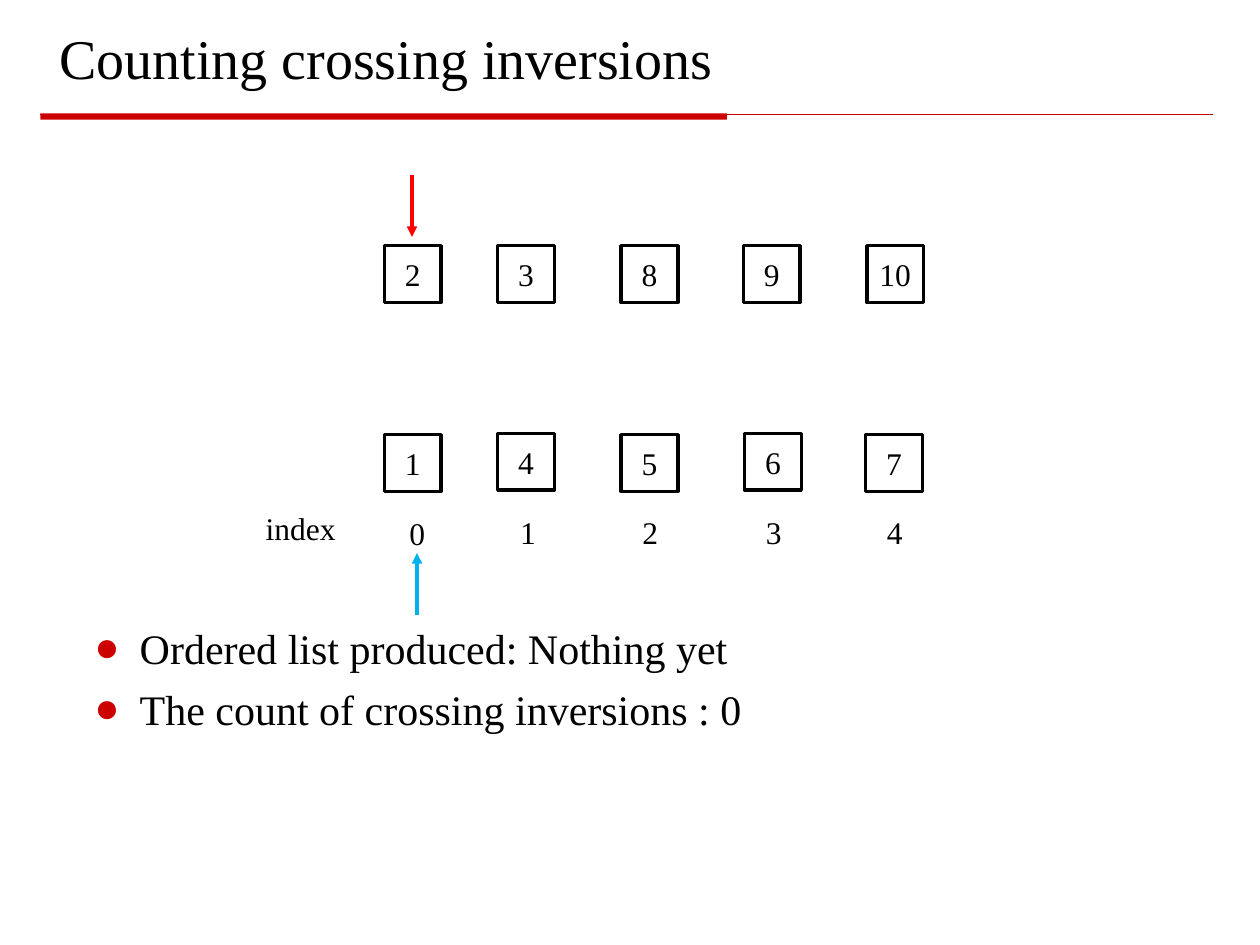
from lxml.etree import SubElement
from pptx import Presentation
from pptx.dml.color import RGBColor
from pptx.enum.shapes import MSO_CONNECTOR, MSO_SHAPE
from pptx.enum.text import MSO_ANCHOR, PP_ALIGN
from pptx.oxml.ns import qn
from pptx.util import Inches, Pt

COLORS = {"text": "000000", "rule": "CC0000", "top": "FF0000", "bottom": "00B0F0"}
FONT = "Times New Roman"


def write(sp, *lines, size=18, align=PP_ALIGN.LEFT, anchor=MSO_ANCHOR.MIDDLE,
          inset=0.1, wrap=True, bullet=None, gap=0):
    tf = sp.text_frame
    tf.word_wrap = wrap
    tf.vertical_anchor = anchor
    tf.margin_left = tf.margin_right = Inches(inset)
    tf.margin_top = tf.margin_bottom = Inches(0.05)
    for i, line in enumerate(lines):
        p = tf.paragraphs[0] if i == 0 else tf.add_paragraph()
        p.alignment = align
        if i:
            p.space_before = Pt(gap)
        if bullet:
            pPr = p._p.get_or_add_pPr()
            pPr.set("marL", str(Inches(0.74)))
            pPr.set("indent", str(Inches(-0.36)))
            color = SubElement(pPr, qn("a:buClr"))
            SubElement(color, qn("a:srgbClr"), val=COLORS["rule"])
            SubElement(pPr, qn("a:buFont"), typeface=FONT)
            SubElement(pPr, qn("a:buChar"), char=bullet)
        r = p.add_run()
        r.text = line
        r.font.name = FONT
        r.font.size = Pt(size)
        r.font.color.rgb = RGBColor.from_string(COLORS["text"])


def add_line(x1, y1, x2, y2, color, width, arrow=False):
    line = s.shapes.add_connector(MSO_CONNECTOR.STRAIGHT, Inches(x1), Inches(y1),
                                  Inches(x2), Inches(y2))
    line.line.color.rgb = RGBColor.from_string(COLORS[color])
    line.line.width = Pt(width)
    if arrow:
        SubElement(line.line._get_or_add_ln(), qn("a:tailEnd"), type="triangle")
    SubElement(line._element.spPr, qn("a:effectLst"))


prs = Presentation()
prs.slide_width, prs.slide_height = Inches(10), Inches(7.5)
s = prs.slides.add_slide(prs.slide_layouts[5])

# Title and the rule under it
title = s.shapes.title
title.left, title.top = Inches(0.37), Inches(0.11)
title.width, title.height = Inches(9.25), Inches(0.69)
write(title, "Counting crossing inversions", size=32)

bar = s.shapes.add_shape(MSO_SHAPE.RECTANGLE, Inches(0.32), Inches(0.9),
                         Inches(5.45), Inches(0.05))
bar.shadow.inherit = False
bar.fill.solid()
bar.fill.fore_color.rgb = RGBColor.from_string(COLORS["rule"])
bar.line.fill.background()
add_line(0.32, 0.91, 9.63, 0.91, "rule", 0.75)

# Two sorted halves: (value, left, top)
boxes = [
    ("2", 3.05, 1.95), ("3", 3.95, 1.95), ("8", 4.93, 1.95),
    ("9", 5.9, 1.95), ("10", 6.88, 1.95),
    ("1", 3.05, 3.45), ("4", 3.95, 3.44), ("5", 4.93, 3.45),
    ("6", 5.91, 3.44), ("7", 6.87, 3.45),
]
for value, left, top in boxes:
    sp = s.shapes.add_shape(MSO_SHAPE.RECTANGLE, Inches(left), Inches(top),
                            Inches(0.45), Inches(0.45))
    sp.shadow.inherit = False
    sp.fill.background()
    sp.line.color.rgb = RGBColor.from_string(COLORS["text"])
    sp.line.width = Pt(2)
    write(sp, value, align=PP_ALIGN.CENTER, inset=0)

# Index row: (label, left, top, width)
labels = [
    ("index", 2.01, 3.99, 0.91), ("0", 3.15, 4.03, 0.38), ("1", 4.03, 4.02, 0.38),
    ("2", 5, 4.02, 0.38), ("3", 5.98, 4.02, 0.38), ("4", 6.94, 4.02, 0.38),
]
for label, left, top, width in labels:
    sp = s.shapes.add_textbox(Inches(left), Inches(top), Inches(width), Inches(0.4))
    write(sp, label, wrap=False)

# Current position in each half
add_line(3.27, 1.39, 3.27, 1.88, "top", 2, arrow=True)
add_line(3.31, 4.88, 3.31, 4.39, "bottom", 2, arrow=True)

# Progress so far
body = s.shapes.add_textbox(Inches(0.27), Inches(4.89), Inches(9.35), Inches(1))
write(body, "Ordered list produced: Nothing yet", "The count of crossing inversions : 0",
      size=24, anchor=MSO_ANCHOR.TOP, bullet="●", gap=6)

prs.save("out.pptx")
